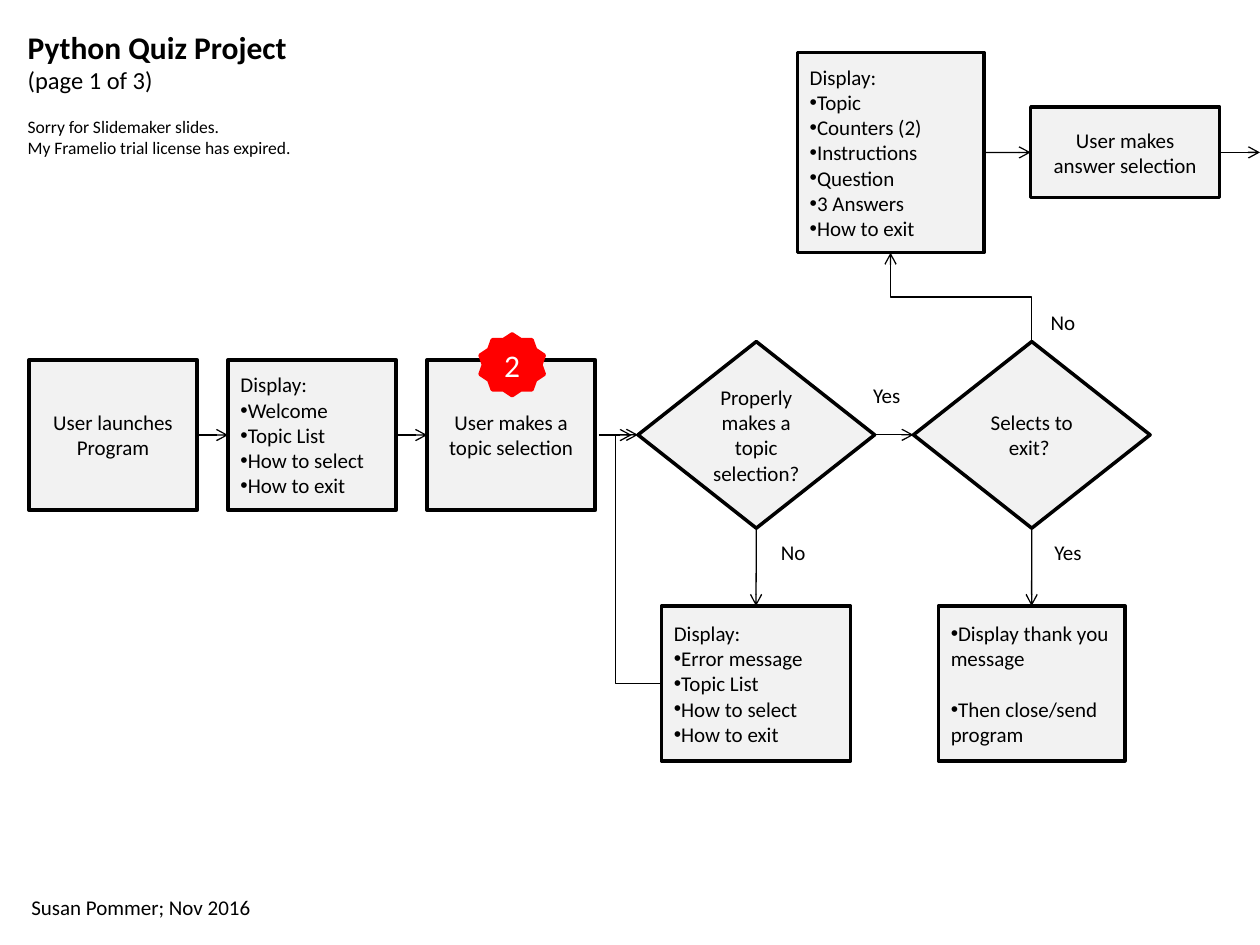
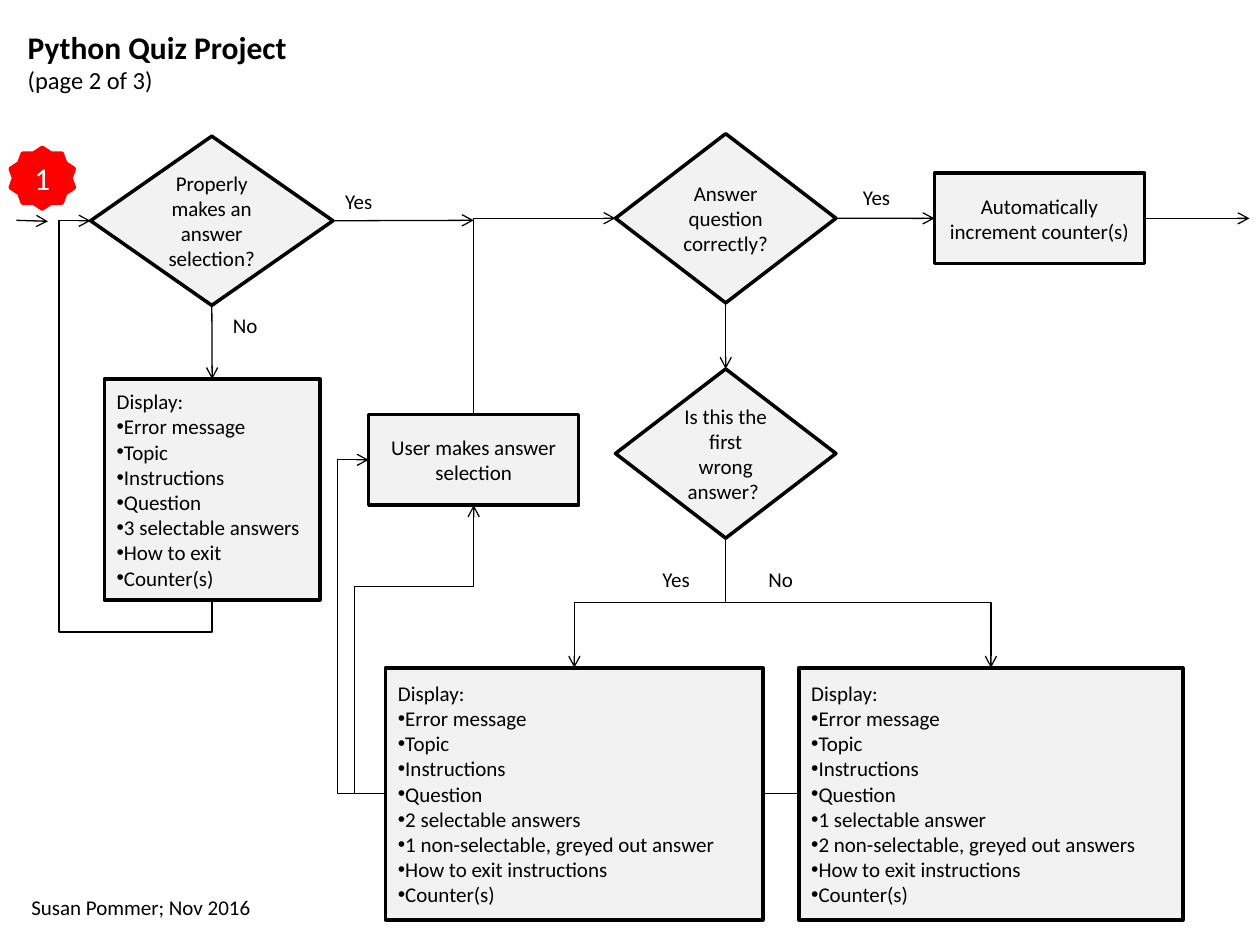
import pptx
import pptx.dml.color
import pptx.enum.shapes
import pptx.enum.text
import pptx.oxml
import pptx.oxml.ns
import pptx.util
from lxml import etree

Pt = pptx.util.Pt
qn = pptx.oxml.ns.qn
SHAPE = pptx.enum.shapes.MSO_SHAPE
CONNECTOR = pptx.enum.shapes.MSO_CONNECTOR
ALIGN = pptx.enum.text.PP_ALIGN
ANCHOR = pptx.enum.text.MSO_ANCHOR

FONT = "Calibri"
BLACK, WHITE, RED, PALE = "000000", "FFFFFF", "FF0000", "F2F2F2"
TOP, LEFT, BOTTOM, RIGHT = range(4)


def color(hex_code):
    return pptx.dml.color.RGBColor.from_string(hex_code)


def write(frame, text, size=12, ink=BLACK, bold=False, align=ALIGN.LEFT,
          bullet=False, space_before=0):
    """Add one paragraph, filling the frame's first one while it is empty."""
    paragraph = frame.add_paragraph() if frame.text else frame.paragraphs[0]
    paragraph.alignment = align
    paragraph.space_before = Pt(space_before)
    run = paragraph.add_run()
    run.text = text
    run.font.name, run.font.size, run.font.bold = FONT, Pt(size), bold
    run.font.color.rgb = color(ink)
    if bullet:
        properties = paragraph._p.get_or_add_pPr()
        properties.set("marL", "0")
        properties.set("indent", str(-Pt(7.2)))
        etree.SubElement(properties, qn("a:buFont"), typeface="Arial")
        etree.SubElement(properties, qn("a:buChar"), char="•")


def block(slide, kind, box, fill=PALE, outline=BLACK):
    shape = slide.shapes.add_shape(kind, *map(Pt, box))
    shape.shadow.inherit = False
    shape.fill.solid()
    shape.fill.fore_color.rgb = color(fill)
    shape.line.color.rgb = color(outline)
    shape.line.width = Pt(2)
    shape.text_frame.word_wrap = True
    shape.text_frame.vertical_anchor = ANCHOR.MIDDLE
    return shape


def step(slide, text, *box):
    shape = block(slide, SHAPE.FLOWCHART_PROCESS, box)
    write(shape.text_frame, text, align=ALIGN.CENTER)
    return shape


def decision(slide, text, *box):
    shape = block(slide, SHAPE.FLOWCHART_DECISION, box)
    write(shape.text_frame, text, align=ALIGN.CENTER)
    return shape


def display(slide, items, *box):
    """Process box with a "Display:" heading over bulleted items."""
    shape = block(slide, SHAPE.FLOWCHART_PROCESS, box)
    write(shape.text_frame, "Display:")
    for item in items:
        write(shape.text_frame, item, bullet=True)
    return shape


def badge(slide, number, left, top):
    star = block(slide, SHAPE.STAR_10_POINT, (left, top, 36.7, 35.3), RED, RED)
    write(star.text_frame, number, size=18, ink=WHITE, align=ALIGN.CENTER)


def label(slide, text, left, top, width=30):
    note = slide.shapes.add_textbox(Pt(left), Pt(top), Pt(width), Pt(21.6))
    note.text_frame.word_wrap = False
    write(note.text_frame, text)


def style_arrow(connector):
    connector.line.color.rgb = color(BLACK)
    connector.line.width = Pt(0.75)
    properties = connector._element.spPr
    etree.SubElement(properties.find(qn("a:ln")), qn("a:tailEnd"), type="arrow")
    etree.SubElement(properties, qn("a:effectLst"))


def arrow(slide, start, end):
    """Straight arrow; each end is a (shape, side) pair or an (x, y) point."""
    def joined(place):
        return not isinstance(place[0], (int, float))

    start_point = (0, 0) if joined(start) else start
    end_point = (0, 0) if joined(end) else end
    connector = slide.shapes.add_connector(
        CONNECTOR.STRAIGHT, *map(Pt, (*start_point, *end_point)))
    if joined(start):
        connector.begin_connect(*start)
    if joined(end):
        connector.end_connect(*end)
    style_arrow(connector)


def elbow(slide, start, end, *bends):
    """Bent arrow between (shape, side) pairs.

    The bends are the coordinates of the inner segments, x and y by turns,
    beginning with the axis along which the arrow leaves its start.
    """
    connector = slide.shapes.add_connector(CONNECTOR.ELBOW, 0, 0, 0, 0)
    connector.begin_connect(*start)
    connector.end_connect(*end)
    origin = connector.begin_x, connector.begin_y
    span = connector.end_x - origin[0], connector.end_y - origin[1]
    vertical = start[1] in (TOP, BOTTOM)
    if vertical:
        # A quarter turn lays the connector's own x axis along the page's y.
        middle_x, middle_y = (o + s / 2 for o, s in zip(origin, span))
        connector.begin_x = round(middle_x - span[1] / 2)
        connector.begin_y = round(middle_y + span[0] / 2)
        connector.end_x = round(middle_x + span[1] / 2)
        connector.end_y = round(middle_y - span[0] / 2)
        connector._element.spPr.find(qn("a:xfrm")).set("rot", str(90 * 60000))
    geometry = connector._element.spPr.find(qn("a:prstGeom"))
    geometry.set("prst", f"bentConnector{len(bends) + 2}")
    guides = geometry.find(qn("a:avLst"))
    for index, bend in enumerate(bends):
        axis = (index + vertical) % 2
        share = round((Pt(bend) - origin[axis]) / span[axis] * 100000)
        etree.SubElement(guides, qn("a:gd"), name=f"adj{index + 1}",
                         fmla=f"val {share}")
    style_arrow(connector)


def new_page(deck, number, remarks=()):
    """Slide with the shared title block and author line."""
    slide = deck.slides.add_slide(deck.slide_layouts[5])
    title = slide.shapes.title
    title.left, title.top = Pt(8.6), Pt(12.2)
    title.width, title.height = Pt(168.5), Pt(82 if remarks else 46)
    frame = title.text_frame
    frame.word_wrap = False
    frame.auto_size = pptx.enum.text.MSO_AUTO_SIZE.NONE
    frame.vertical_anchor = ANCHOR.TOP
    write(frame, "Python Quiz Project", size=18, bold=True)
    write(frame, f"(page {number} of 3)", size=14)
    for index, remark in enumerate(remarks):
        write(frame, remark, size=10, space_before=0 if index else 12.2)
    label(slide, "Susan Pommer; Nov 2016", 10.8, 507.6, 141)
    return slide


def topic_page(deck):
    slide = new_page(deck, 1, ["Sorry for Slidemaker slides.",
                               "My Framelio trial license has expired."])
    row = [(16.6 + 113.75 * i, 205.6, 96, 86) for i in range(3)]
    launch = step(slide, "User launches Program", *row[0])
    welcome = display(slide, ["Welcome", "Topic List", "How to select",
                              "How to exit"], *row[1])
    choose = step(slide, "User makes a topic selection", *row[2])
    badge(slide, "2", 274.3, 190.8)
    valid = decision(slide, "Properly makes a topic selection?",
                     364.6, 195.2, 135.2, 106.6)
    leaving = decision(slide, "Selects to exit? ", 522, 195.2, 135.2, 106.6)
    error = display(slide, ["Error message", "Topic List", "How to select",
                            "How to exit"], 378, 346.3, 108, 88.5)
    thanks = block(slide, SHAPE.FLOWCHART_PROCESS, (536.2, 346.3, 106.6, 88.5))
    write(thanks.text_frame, "Display thank you message", bullet=True)
    write(thanks.text_frame, "Then close/send program", bullet=True,
          space_before=14.6)
    question = display(slide, ["Topic", "Counters (2)", "Instructions", "Question",
                               "3 Answers", "How to exit"],
                       455.6, 30, 106.6, 114.4)
    answer = step(slide, "User makes answer selection", 589, 61.2, 108, 51.8)

    arrow(slide, (launch, RIGHT), (welcome, LEFT))
    arrow(slide, (welcome, RIGHT), (choose, LEFT))
    arrow(slide, (342, 248.6), (361, 248.6))
    arrow(slide, (valid, RIGHT), (leaving, LEFT))
    arrow(slide, (valid, BOTTOM), (error, TOP))
    arrow(slide, (leaving, BOTTOM), (thanks, TOP))
    arrow(slide, (question, RIGHT), (answer, LEFT))
    arrow(slide, (answer, RIGHT), (720, 87.1))
    elbow(slide, (error, LEFT), (valid, LEFT), 351.7)
    elbow(slide, (leaving, TOP), (question, BOTTOM), 169.7)

    label(slide, "Yes", 491.8, 215.3)
    label(slide, "No", 439.2, 304.6)
    label(slide, "Yes", 595.4, 304.6)
    label(slide, "No", 593.3, 173.5)


def answer_page(deck):
    slide = new_page(deck, 2)
    basics = ["Error message", "Topic", "Instructions", "Question"]
    valid = decision(slide, "Properly makes an answer selection?",
                     51.8, 77.8, 138.5, 96.7)
    error = display(slide, basics + ["3 selectable answers", "How to exit",
                                     "Counter(s)"], 59.6, 216.7, 123.3, 126)
    correct = decision(slide, "Answer question correctly?",
                       351.7, 76.4, 126, 96.7)
    first_wrong = decision(slide, "Is this the first wrong answer? ",
                           351.7, 210.8, 126, 96.7)
    retry = step(slide, "User makes answer selection", 210.7, 236.9, 120, 51.8)
    counter = step(slide, "Automatically increment counter(s)",
                   534, 98.9, 120, 51.8)
    badge(slide, "1", 5.8, 84.2)
    closing = ["How to exit instructions", "Counter(s)"]
    one_left = display(slide, basics + ["1 selectable answer",
                                        "2 non-selectable, greyed out answers"]
                       + closing, 456.5, 381.6, 219.4, 144)
    # This line passes behind the box that is added next.
    elbow(slide, (one_left, LEFT), (retry, LEFT), 193)
    two_left = display(slide, basics + ["2 selectable answers",
                                        "1 non-selectable, greyed out answer"]
                       + closing, 220.3, 381.6, 215.7, 144)

    arrow(slide, (9.4, 125.9), (27.4, 126.5))
    arrow(slide, (valid, RIGHT), (270.7, 125.9))
    arrow(slide, (valid, BOTTOM), (error, TOP))
    arrow(slide, (correct, BOTTOM), (first_wrong, TOP))
    arrow(slide, (correct, RIGHT), (counter, LEFT))
    arrow(slide, (counter, RIGHT), (714, 124.8))
    elbow(slide, (error, BOTTOM), (valid, LEFT), 361, 33.8)
    elbow(slide, (retry, TOP), (correct, LEFT))
    elbow(slide, (two_left, LEFT), (retry, BOTTOM), 202.4, 335)
    for outcome in (two_left, one_left):
        elbow(slide, (first_wrong, BOTTOM), (outcome, TOP), 344.3)

    label(slide, "Yes", 190.1, 104.4)
    label(slide, "No", 126, 175)
    label(slide, "Yes", 486, 102.2)
    label(slide, "Yes", 371.5, 320.4)
    label(slide, "No", 432, 320.4)


def main():
    deck = pptx.Presentation()
    deck.slide_width, deck.slide_height = Pt(720), Pt(540)
    topic_page(deck)
    answer_page(deck)
    deck.save("out.pptx")


if __name__ == "__main__":
    main()
